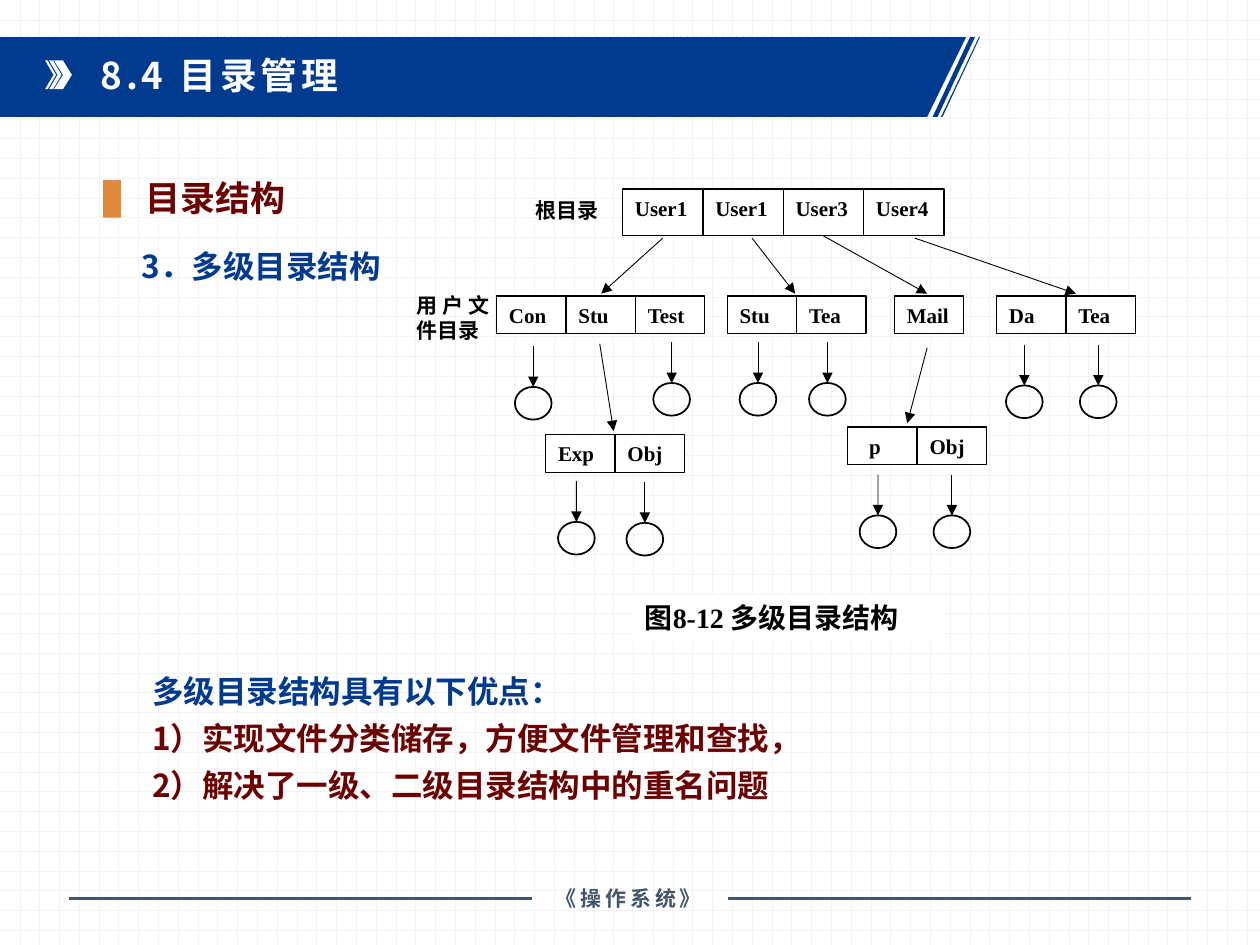
from lxml.etree import SubElement
from pptx import Presentation
from pptx.dml.color import RGBColor
from pptx.enum.dml import MSO_PATTERN as Pat
from pptx.enum.shapes import MSO_CONNECTOR as Conn, MSO_SHAPE as Shp
from pptx.enum.text import MSO_ANCHOR as Anchor, PP_ALIGN as Align
from pptx.oxml.ns import qn
from pptx.util import Cm, Pt

COLORS = {"blue": "003A8F", "stripe": "00449A", "grid": "F2F2F2", "white": "FFFFFF",
          "slate": "44546A", "maroon": "6C0000", "orange": "E3893D", "black": "000000"}
CJK, LATIN, TIMES = "Noto Sans CJK SC", "Arial", "Times New Roman"

# Content (lengths in cm)
BANNER = [
    [(0, 0.74), (19.48, 0.74), (18.69, 2.36), (0, 2.36)],
    [(19.56, 0.74), (19.66, 0.74), (18.9, 2.36), (18.8, 2.36)],
    [(19.74, 0.74), (19.76, 0.74), (19, 2.36), (18.97, 2.36)],
]
CHEVRON_SLIVERS = [(0.99, 0.08), (0.91, 0.05)]  # left, thickness
ADVANTAGES = [
    ("多级目录结构具有以下优点：", "blue"),
    ("1）实现文件分类储存，方便文件管理和查找，", "maroon"),
    ("2）解决了一级、二级目录结构中的重名问题", "maroon"),
]
# left, top, cell width, cell height, names
DIRECTORIES = [
    (12.55, 3.81, 1.62, 0.94, ["User1", "User1", "User3", "User4"]),
    (10.01, 5.97, 1.4, 0.76, ["Con", "Stu", "Test"]),
    (14.66, 5.97, 1.4, 0.76, ["Stu", "Tea"]),
    (18.03, 5.97, 1.4, 0.76, ["Mail"]),
    (20.09, 5.97, 1.4, 0.76, ["Da", "Tea"]),
    (11, 8.76, 1.4, 0.76, ["Exp", "Obj"]),
    (17.09, 8.61, 1.4, 0.76, ["p", "Obj"]),
]
LINKS = [
    (13.36, 4.8, 12.12, 5.92), (15.16, 4.8, 16.03, 5.92),
    (16.59, 4.75, 18.69, 5.92), (18.44, 4.8, 21.69, 5.92),
    (12.09, 6.93, 12.37, 8.69), (18.69, 7.01, 18.29, 8.53),
]
# centre, top of each file circle
FILES = [
    (10.75, 7.8), (13.54, 7.72), (15.28, 7.72), (16.68, 7.72), (20.65, 7.77),
    (22.14, 7.77), (11.62, 10.52), (13, 10.54), (17.7, 10.39), (19.19, 10.39),
]
FILE_W, FILE_H, FILE_DROP = 0.74, 0.66, 0.82

prs = Presentation()
prs.slide_width, prs.slide_height = Cm(25.4), Cm(19.05)
slide = prs.slides.add_slide(prs.slide_layouts[6])
shapes = slide.shapes


def rgb(name):
    return RGBColor.from_string(COLORS[name])


def set_pattern(fill, pattern, fore, back):
    fill.patterned()
    fill.pattern = pattern
    fill.fore_color.rgb, fill.back_color.rgb = rgb(fore), rgb(back)


def style(s, fill=None, line=None, width=0.75):
    s.shadow.inherit = False
    if fill:
        s.fill.solid()
        s.fill.fore_color.rgb = rgb(fill)
    else:
        s.fill.background()
    if line:
        s.line.color.rgb = rgb(line)
        s.line.width = Pt(width)
    else:
        s.line.fill.background()


def add_shape(kind, x, y, w, h, **look):
    s = shapes.add_shape(kind, Cm(x), Cm(y), Cm(w), Cm(h))
    style(s, **look)
    return s


def add_outline(polygons):
    x0, y0 = polygons[0][0]
    fb = shapes.build_freeform(Cm(x0), Cm(y0), scale=1.0)
    for i, points in enumerate(polygons):
        pts = [(Cm(x), Cm(y)) for x, y in points]
        if i:
            fb.move_to(*pts[0])
        fb.add_line_segments(pts[1:], close=True)
    s = fb.convert_to_shape()
    style(s, fill="white")
    return s


def add_line(x1, y1, x2, y2, color="black", width=0.5, arrow=True):
    c = shapes.add_connector(Conn.STRAIGHT, Cm(x1), Cm(y1), Cm(x2), Cm(y2))
    c.line.color.rgb = rgb(color)
    c.line.width = Pt(width)
    if arrow:
        SubElement(c.line._get_or_add_ln(), qn("a:tailEnd"), type="triangle")
    SubElement(c._element.spPr, qn("a:effectLst"))
    return c


def write(s, lines, size, font=CJK, align=Align.JUSTIFY, indent=0, leading=None,
          spacing=0, anchor=Anchor.TOP):
    tf = s.text_frame
    tf.word_wrap = True
    tf.vertical_anchor = anchor
    tf.text = "\n".join(text for text, _ in lines)
    for p, (_, color) in zip(tf.paragraphs, lines):
        p.alignment = align
        if leading:
            p.line_spacing = leading
        if indent:
            p._p.get_or_add_pPr().set("indent", str(Cm(indent)))
        r = p.runs[0]
        r.font.size, r.font.bold, r.font.name = Pt(size), True, font
        r.font.color.rgb = rgb(color)
        rPr = r._r.get_or_add_rPr()
        SubElement(rPr, qn("a:ea"), typeface=CJK)
        if spacing:
            rPr.set("spc", str(round(spacing * 100)))


def add_text(x, y, w, h, lines, size, **look):
    write(shapes.add_textbox(Cm(x), Cm(y), Cm(w), Cm(h)), lines, size, **look)


# Background and title banner
set_pattern(slide.background.fill, Pat.DOTTED_GRID, "grid", "white")
set_pattern(add_outline(BANNER).fill, Pat.WIDE_UPWARD_DIAGONAL, "stripe", "blue")
add_shape(Shp.CHEVRON, 1.09, 1.22, 0.36, 0.58, fill="white")
for x, t in CHEVRON_SLIVERS:
    add_outline([[(x, 1.22), (x + t, 1.22), (x + t + 0.17, 1.51),
                  (x + t, 1.8), (x, 1.8), (x + 0.17, 1.51)]])
add_text(1.78, 1.04, 15.85, 1.42, [("8.4 目录管理", "white")], 21,
         align=Align.LEFT, leading=0.9, spacing=2.2)

# Footer
add_text(10.69, 17.73, 3.96, 0.76, [("《操作系统》", "slate")], 12, font=LATIN,
         align=Align.CENTER, spacing=2.2, anchor=Anchor.MIDDLE)
for x1, x2 in [(1.4, 10.72), (14.68, 24)]:
    add_line(x1, 18.11, x2, 18.11, color="slate", width=2, arrow=False)

# Headings and advantages
add_text(2.69, 3.53, 6.76, 1.04, [("目录结构", "maroon")], 20,
         align=Align.LEFT, leading=0.9)
add_shape(Shp.RECTANGLE, 2.08, 3.63, 0.36, 0.76, fill="orange")
add_text(1.75, 4.67, 6.2, 1.22, [("3．多级目录结构", "blue")], 18,
         indent=0.86, leading=1.25)
add_text(1.98, 13.23, 21.29, 3.15, ADVANTAGES, 18, indent=0.84, leading=1.25)

# Directory tree
add_text(9.98, 3.86, 2.79, 0.76, [("根目录", "black")], 12, font=TIMES, indent=0.56)
add_text(8.15, 5.77, 1.96, 1.27, [("用户文件目录", "black")], 12, font=TIMES)
for left, top, w, h, names in DIRECTORIES:
    for i, name in enumerate(names):
        cell = add_shape(Shp.RECTANGLE, left + i * w, top, w, h, fill="white", line="black")
        write(cell, [(name, "black")], 12, font=TIMES, indent=0.18 if name == "p" else 0)
for link in LINKS:
    add_line(*link)
for x, y in FILES:
    circle = add_shape(Shp.FLOWCHART_CONNECTOR, x - FILE_W / 2, y, FILE_W, FILE_H,
                       line="black", width=1)
    add_line(x, y - FILE_DROP, x, y).end_connect(circle, 0)

# Caption
caption = add_shape(Shp.RECTANGLE, 12.75, 11.99, 6.3, 0.94, fill="white")
write(caption, [("图8-12 多级目录结构", "black")], 16, font=TIMES)

prs.save("out.pptx")
